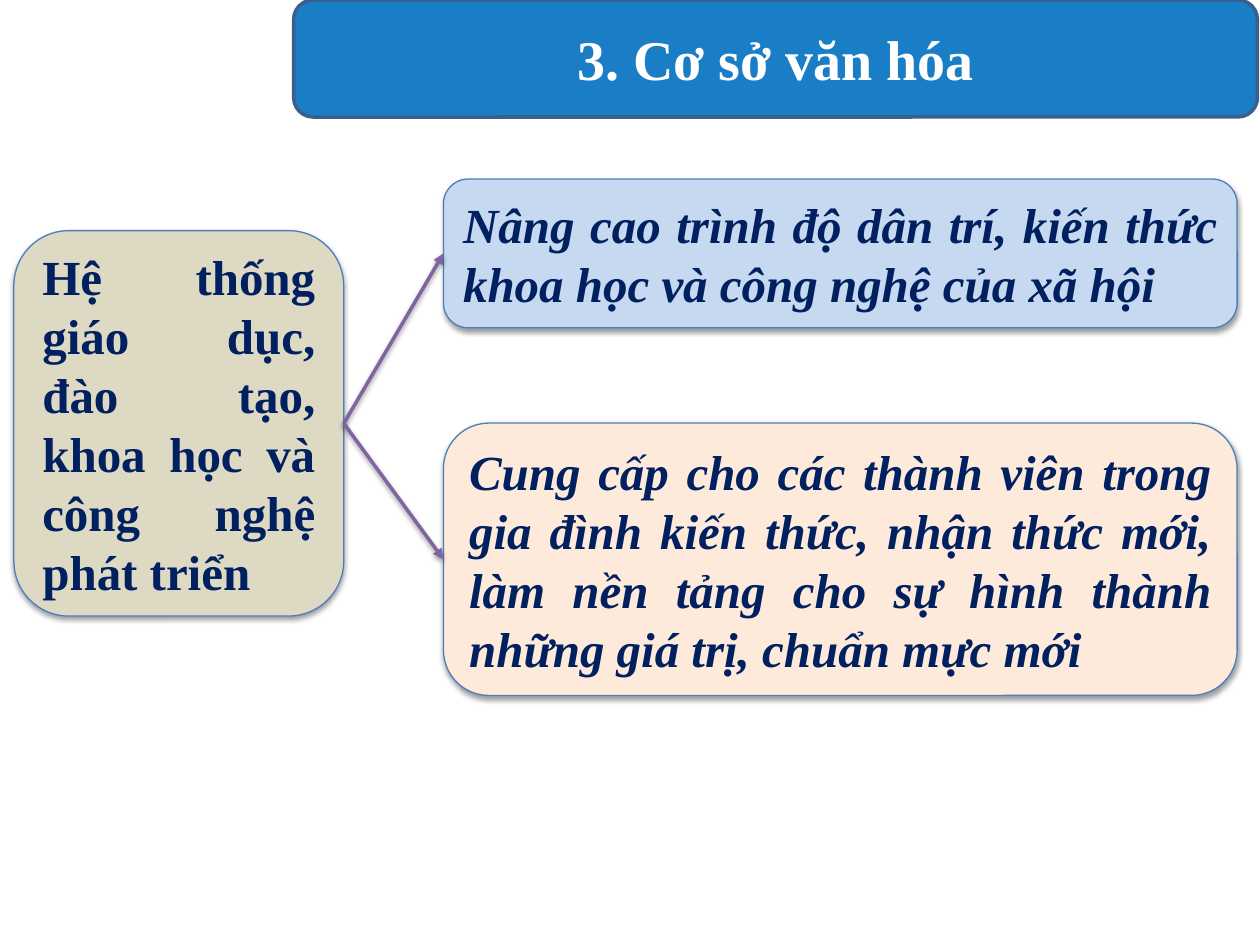
from lxml import etree
from pptx import Presentation
from pptx.dml.color import RGBColor
from pptx.enum import shapes, text
from pptx.oxml import parse_xml
from pptx.oxml.ns import nsdecls, qn
from pptx.util import Cm, Pt

WHITE = RGBColor(0xFF, 0xFF, 0xFF)
NAVY = RGBColor(0x00, 0x20, 0x60)
BLUE = RGBColor(0x00, 0x70, 0xC0)
DARK_BLUE = RGBColor(0x3A, 0x5F, 0x8C)
OUTLINE = RGBColor(0x4B, 0x7E, 0xBC)
PURPLE = RGBColor(0x80, 0x64, 0xA2)
SAND = RGBColor(0xDD, 0xD9, 0xC3)
PALE_BLUE = RGBColor(0xC6, 0xD9, 0xF1)
PEACH = RGBColor(0xFD, 0xEA, 0xDA)

FONT = {"name": "Times New Roman", "bold": True}
SHADOW = (
    f'<a:effectLst {nsdecls("a")}>'
    f'<a:outerShdw blurRad="{Pt(3.1)}" dist="{Pt(1.6)}" dir="5400000" rotWithShape="0">'
    '<a:srgbClr val="000000"><a:alpha val="38000"/></a:srgbClr>'
    '</a:outerShdw></a:effectLst>'
)


def write(sp, words, align, color, **font):
    tf = sp.text_frame
    tf.word_wrap = True
    tf.auto_size = text.MSO_AUTO_SIZE.NONE
    tf.vertical_anchor = text.MSO_ANCHOR.MIDDLE
    p = tf.paragraphs[0]
    p.alignment = align
    p.space_before = Pt(0)
    r = p.add_run()
    r.text = words
    for key, value in {**FONT, **font}.items():
        setattr(r.font, key, value)
    r.font.color.rgb = color


def add_panel(s, box, fill, line, width):
    sp = s.shapes.add_shape(shapes.MSO_SHAPE.ROUNDED_RECTANGLE, *map(Cm, box))
    sp.shadow.inherit = False
    sp.fill.solid()
    sp.fill.fore_color.rgb = fill
    sp.line.color.rgb = line
    sp.line.width = Pt(width)
    return sp


def add_shadow(sp):
    spPr = sp._element.spPr
    for old in spPr.findall(qn("a:effectLst")):
        spPr.remove(old)
    spPr.append(parse_xml(SHADOW))


def add_title(s, box, words):
    # Translucent banner behind the title placeholder
    banner = add_panel(s, box, BLUE, DARK_BLUE, 2)
    color = banner._element.spPr.find(qn("a:solidFill"))[0]
    etree.SubElement(color, qn("a:alpha"), val="90000")

    title = s.shapes.title
    title.left, title.top, title.width, title.height = map(Cm, box)
    s.shapes._spTree.append(title._element)
    write(title, words, text.PP_ALIGN.CENTER, WHITE, size=Pt(32))


def add_card(s, box, words, fill, italic):
    sp = add_panel(s, box, fill, OUTLINE, 0.75)
    add_shadow(sp)
    write(sp, words, text.PP_ALIGN.JUSTIFY, NAVY, size=Pt(28), italic=italic)
    return sp


def add_arrow(s, start, end):
    line = s.shapes.add_connector(shapes.MSO_CONNECTOR.STRAIGHT, 0, 0, 0, 0)
    line.begin_connect(start, 3)
    line.end_connect(end, 1)
    line.line.color.rgb = PURPLE
    line.line.width = Pt(2)
    etree.SubElement(line.line._get_or_add_ln(), qn("a:tailEnd"), type="triangle")
    add_shadow(line)


def add_branches(s, box, cause, effects):
    left, top, width, height = box
    cause_width, effect_width = 6.65, 16

    # Cause on the left
    source = add_card(s, (left, top + 1.04, cause_width, 7.77), cause, SAND, False)

    # Effects on the right, each with its arrow
    x = left + width - effect_width
    spans = [(top, 3), (top + height - 5.49, 5.49)]
    targets = [
        add_card(s, (x, y, effect_width, h), words, fill, True)
        for (y, h), (words, fill) in zip(spans, effects)
    ]
    for target in targets:
        add_arrow(s, source, target)


def main():
    prs = Presentation()
    prs.slide_width, prs.slide_height = Cm(25.4), Cm(19.05)
    s = prs.slides.add_slide(prs.slide_layouts.get_by_name("Title Only"))

    add_title(s, (5.92, 0, 19.43, 2.36), "3. Cơ sở văn hóa")
    add_branches(
        s, (0.28, 3.61, 24.66, 10.41),
        "Hệ thống giáo dục, đào tạo, khoa học và công nghệ phát triển",
        [
            ("Nâng cao trình độ dân trí, kiến thức khoa học và công nghệ của xã hội",
             PALE_BLUE),
            ("Cung cấp cho các thành viên trong gia đình kiến thức, nhận thức mới, "
             "làm nền tảng cho sự hình thành những giá trị, chuẩn mực mới", PEACH),
        ],
    )
    prs.save("out.pptx")


if __name__ == "__main__":
    main()
